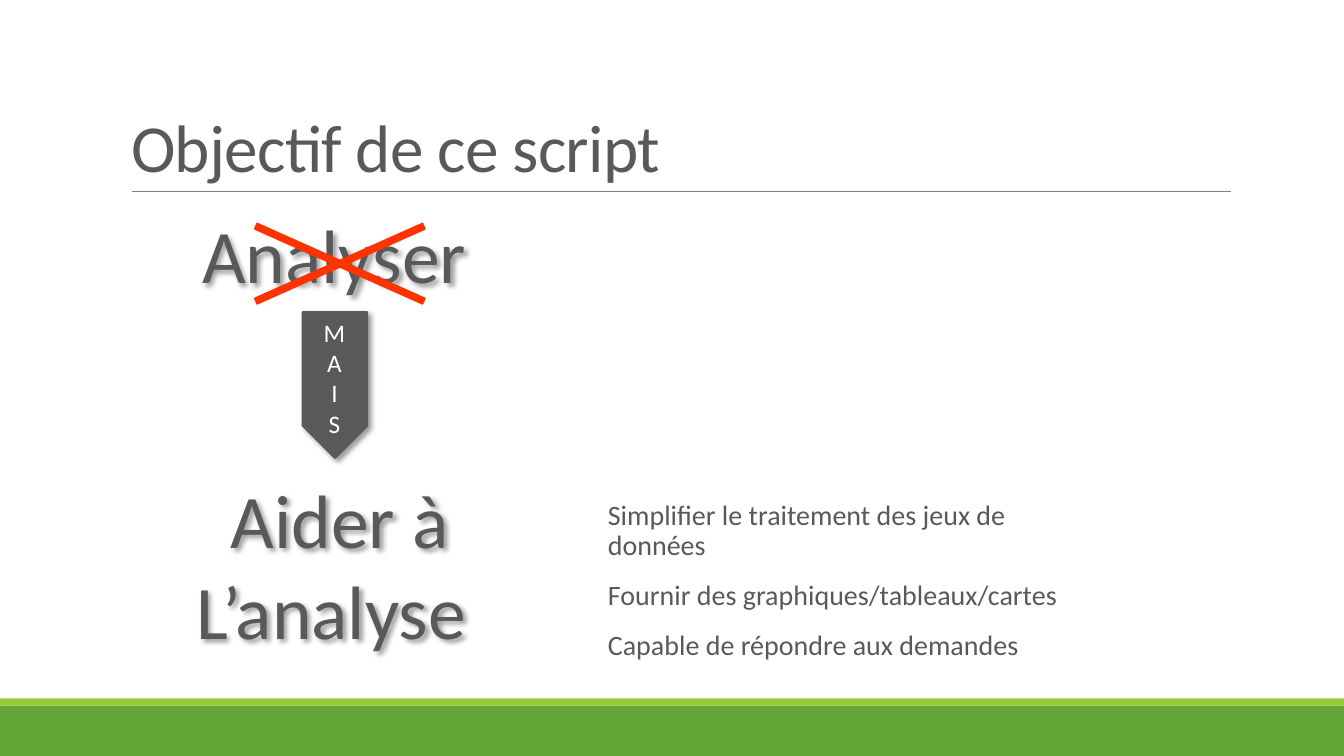
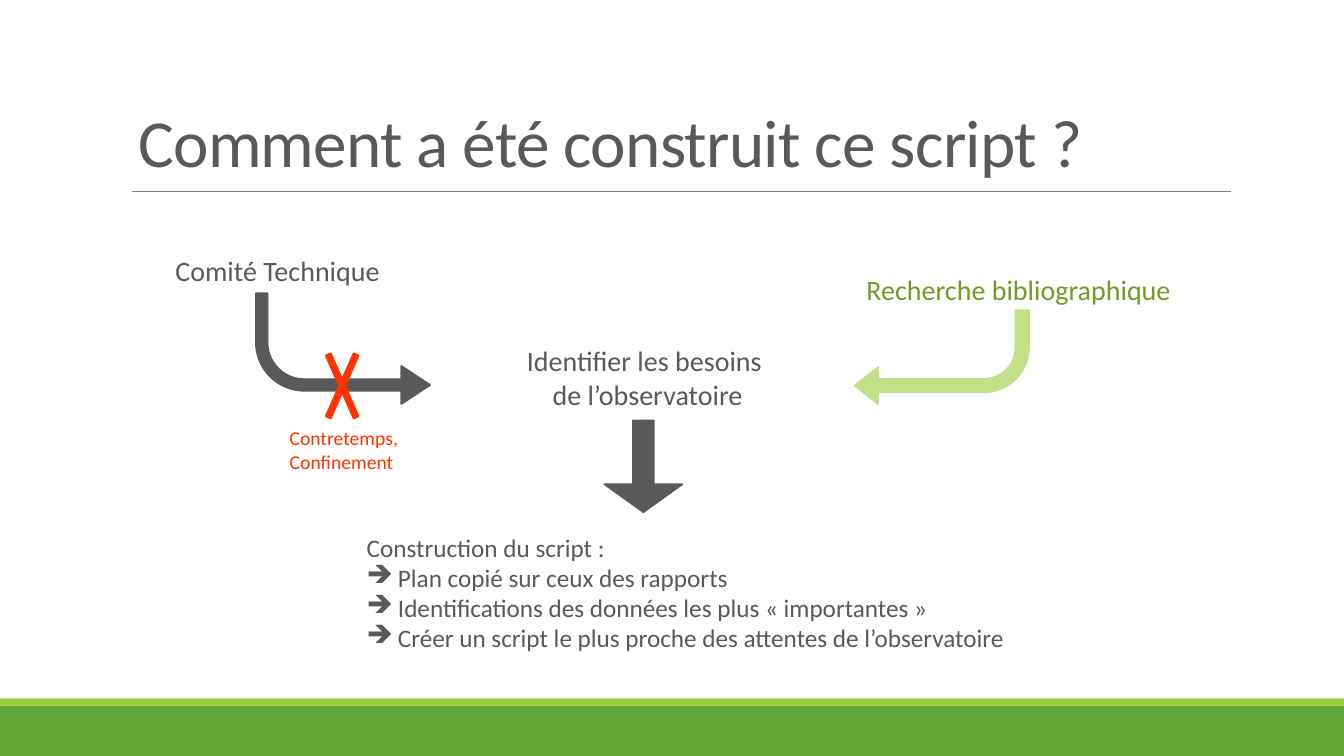
from dataclasses import dataclass

from lxml import etree
from pptx import Presentation
from pptx import util as u
from pptx.dml.color import RGBColor
from pptx.enum import shapes, text
from pptx.oxml.ns import qn

Cm, Pt = u.Cm, u.Pt
Kind, Align, Anchor = shapes.MSO_SHAPE, text.PP_ALIGN, text.MSO_ANCHOR


@dataclass(frozen=True)
class Theme:
    font: str = "Calibri"
    grey: str = "595959"
    white: str = "FFFFFF"
    red: str = "FF3300"
    band: str = "63A537"
    stripe: str = "99CB38"
    rule: str = "808080"
    leaf: str = "C2E088"
    olive: str = "739A28"
    shadow: str = "000000"
    title: int = 48
    display: int = 54
    body: int = 20
    label: int = 18
    note: int = 14
    outline: float = 1.25
    hairline: float = 0.5


class SlideBuilder:
    """Holds the theme, the deck and the slide being drawn."""

    def __init__(self, theme):
        self.theme = theme
        self.deck = Presentation()
        self.deck.slide_width, self.deck.slide_height = Cm(33.87), Cm(19.05)
        self.layout = self.deck.slide_layouts[5]
        self.page = None

    def new_page(self, title, left, top):
        first = self.page is None
        self.page = self.deck.slides.add_slide(self.layout)
        if first:
            self.decorate_layout()
        box = self.page.shapes.title
        box.left, box.top, box.width, box.height = map(Cm, (left, top, 27.94, 4.04))
        self.set_text(box, [title], self.theme.title, self.theme.grey, Align.LEFT)
        box.text_frame.vertical_anchor = Anchor.BOTTOM
        box.text_frame.paragraphs[0].line_spacing = 0.85
        for props in box.element.iter(qn("a:rPr")):
            props.set("spc", "-50")

    def decorate_layout(self):
        """Draw the bands and the title rule, then hand them to the layout."""
        parts = [
            self.shape(Kind.RECTANGLE, (0, 17.78, 33.87, 1.27), self.theme.band, outlined=False),
            self.shape(Kind.RECTANGLE, (0, 17.6, 33.87, 0.18), self.theme.stripe, outlined=False),
            self.rule(3.33, 31.01, 4.83),
        ]
        for part in parts:
            self.layout.shapes.element.append(part.element)

    def rule(self, left, right, top):
        line = self.page.shapes.add_connector(
            shapes.MSO_CONNECTOR.STRAIGHT, Cm(left), Cm(top), Cm(right), Cm(top))
        line.line.color.rgb = RGBColor.from_string(self.theme.rule)
        line.line.width = Pt(self.theme.hairline)
        etree.SubElement(line.element.spPr, qn("a:effectLst"))
        return line

    def shape(self, kind, place, color, adjust=(), turn=0, mirrored=False, outlined=True):
        item = self.page.shapes.add_shape(kind, *map(Cm, place))
        item.shadow.inherit = False
        item.fill.solid()
        item.fill.fore_color.rgb = RGBColor.from_string(color)
        if outlined:
            item.line.color.rgb = RGBColor.from_string(color)
            item.line.width = Pt(self.theme.outline)
        else:
            item.line.fill.background()
        for index, value in enumerate(adjust):
            item.adjustments[index] = value
        item.rotation = turn
        if mirrored:
            item.element.spPr.find(qn("a:xfrm")).set("flipH", "1")
        return item

    def cross(self, place, thickness):
        return self.shape(Kind.MATH_MULTIPLY, place, self.theme.red, [thickness])

    def text(self, place, lines, size, color=None, align=Align.CENTER, wrap=True):
        box = self.page.shapes.add_textbox(*map(Cm, place))
        self.set_text(box, lines, size, color or self.theme.grey, align)
        box.text_frame.word_wrap = wrap
        return box

    def set_text(self, box, lines, size, color, align):
        frame = box.text_frame
        frame.text = "\n".join(lines)
        frame.auto_size = text.MSO_AUTO_SIZE.NONE
        for para in frame.paragraphs:
            para.alignment = align
            for span in para.runs:
                span.font.name = self.theme.font
                span.font.size = Pt(size)
                span.font.color.rgb = RGBColor.from_string(color)

    def cast_shadow(self, item):
        item.shadow.inherit = False
        effects = item.element.spPr.find(qn("a:effectLst"))
        shadow = etree.SubElement(
            effects, qn("a:outerShdw"), blurRad=str(Pt(4)), dist=str(Pt(3)),
            dir="2700000", algn="tl", rotWithShape="0")
        color = etree.SubElement(shadow, qn("a:srgbClr"), val=self.theme.shadow)
        etree.SubElement(color, qn("a:alpha"), val="40000")

    def add_bullets(self, box, start, mark="➔"):
        indent = Cm(0.79)
        for props in list(box.element.iter(qn("a:pPr")))[start:]:
            props.set("marL", str(indent))
            props.set("indent", str(-indent))
            etree.SubElement(props, qn("a:buChar"), char=mark)


def build_goal(builder):
    theme = builder.theme
    builder.new_page("Objectif de ce script", 3.05, 0.79)

    # Aims of the script
    aims = builder.text(
        (15.32, 12.5, 11.58, 5.08),
        ["Simplifier le traitement des jeux de données",
         "Fournir des graphiques/tableaux/cartes",
         "Capable de répondre aux demandes"],
        theme.body, align=Align.LEFT)
    aims.text_frame.margin_left = aims.text_frame.margin_right = 0
    for para in aims.text_frame.paragraphs:
        para.line_spacing = 0.9
        para.space_before, para.space_after = Pt(12), Pt(2)

    # Rejected goal
    rejected = builder.text((4.8, 5.11, 7.67, 2.57), ["Analyser "], theme.display, wrap=False)
    builder.cast_shadow(rejected)
    builder.cross((4.5, 4.83, 8.13, 3.63), 0.041)

    # Arrow towards the chosen goal
    arrow = builder.shape(Kind.PENTAGON, (6.6, 8.89, 3.68, 1.63), theme.grey, turn=90)
    builder.cast_shadow(arrow)
    builder.text((6.12, 7.87, 4.62, 3.33), list("MAIS"), theme.label, theme.white)
    chosen = builder.text((4.65, 11.79, 7.82, 4.88), ["Aider à", "L’analyse "],
                          theme.display, wrap=False)
    builder.cast_shadow(chosen)


def build_method(builder):
    theme = builder.theme
    builder.new_page("Comment a été construit ce script ?", 3.23, 0.66)

    # Blocked route: technical committee
    builder.text((1.52, 6.27, 10.95, 1.12), ["Comité Technique"], theme.body)
    builder.shape(Kind.BENT_ARROW, (6.45, 7.39, 4.39, 2.79), theme.grey,
                  [0.104, 0.172, 0.26, 0.438], turn=180, mirrored=True)
    builder.cross((7.95, 8.2, 1.35, 3.05), 0.101)
    builder.text((6.38, 10.62, 4.57, 1.45), ["Contretemps,", "Confinement "],
                 theme.note, theme.red)

    # Needs in the centre
    builder.text((12.98, 8.53, 6.68, 1.96), ["Identifier les besoins ", "de l’observatoire"],
                 theme.body, wrap=False)

    # Open route: literature search
    builder.shape(Kind.BENT_ARROW, (21.54, 7.82, 4.39, 2.36), theme.leaf,
                  [0.143, 0.197, 0.25, 0.48], turn=180)
    builder.text((21.54, 6.73, 8.26, 1.12), ["Recherche bibliographique"],
                 theme.body, theme.olive, wrap=False)

    # Resulting steps
    builder.shape(Kind.LEFT_ARROW, (15.06, 10.77, 2.31, 1.96), theme.grey,
                  [0.27, 0.359], turn=270)
    steps = builder.text(
        (8.99, 13.28, 17.53, 4.11),
        ["Construction du script :",
         "Plan copié sur ceux des rapports",
         "Identifications des données les plus « importantes »",
         "Créer un script le plus proche des attentes de l’observatoire"],
        theme.label, align=Align.LEFT)
    builder.add_bullets(steps, start=1)


def main():
    builder = SlideBuilder(Theme())
    build_goal(builder)
    build_method(builder)
    builder.deck.save("out.pptx")


if __name__ == "__main__":
    main()
